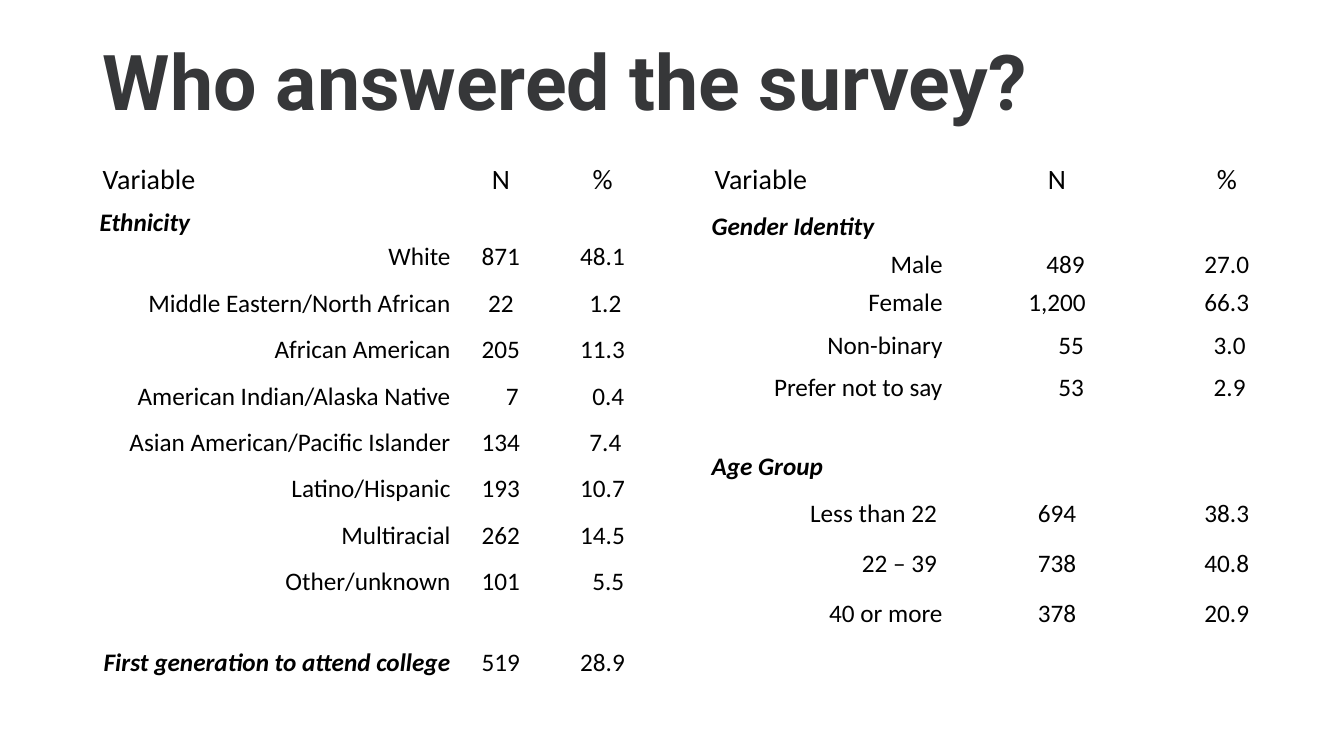
"""Build the slide that breaks down the survey respondents."""
from dataclasses import dataclass

from pptx import Presentation
from pptx.dml.color import RGBColor
from pptx.enum.text import MSO_ANCHOR, MSO_AUTO_SIZE, PP_ALIGN
from pptx.util import Pt

BLACK = "000000"
SPACE = 4.07
LEFT, CENTER, RIGHT = PP_ALIGN.LEFT, PP_ALIGN.CENTER, PP_ALIGN.RIGHT


@dataclass
class Row:
    height: float
    label: str = ""
    n: str = ""
    pct: str = ""
    strong: bool = False
    label_pad: int = 0
    n_pad: int = 0
    pct_pad: int = 0


@dataclass
class Breakdown:
    left: float
    widths: tuple[float, float, float]
    header_height: float
    rows: list[Row]


STEP, TIGHT = 33.15, 24.5
ETHNICITY = Breakdown(66.2, (260.6, 61.9, 83.5), 35.3, [
    Row(TIGHT, "Ethnicity", strong=True),
    Row(STEP, "White", "871", "48.1"),
    Row(STEP, "Middle Eastern/North African", "22", "1.2", pct_pad=1),
    Row(STEP, "African American", "205", "11.3"),
    Row(STEP, "American Indian/Alaska Native", "7", "0.4", n_pad=4, pct_pad=2),
    Row(STEP, "Asian American/Pacific Islander", "134", "7.4", pct_pad=1),
    Row(STEP, "Latino/Hispanic", "193", "10.7"),
    Row(STEP, "Multiracial", "262", "14.5"),
    Row(STEP, "Other/unknown", "101", "5.5", pct_pad=2),
    Row(TIGHT),
    Row(STEP, "First generation to attend college", "519", "28.9", strong=True),
])
GENDER_AND_AGE = Breakdown(503.3, (175, 153.4, 89.3), 38.2, [
    Row(27.2, "Gender Identity", strong=True),
    Row(27.2, "Male", "489", "27.0", n_pad=3),
    Row(30.4, "Female", "1,200", "66.3"),
    Row(30.4, "Non-binary", "55", "3.0", n_pad=5, pct_pad=1),
    Row(33.4, "Prefer not to say", "53", "2.9", n_pad=5, pct_pad=1),
    Row(22.5),
    Row(33.7, "Age Group", strong=True),
    Row(35.8, "Less than 22", "694", "38.3", label_pad=1),
    Row(35.8, "22 – 39", "738", "40.8", label_pad=1),
    Row(35.8, "40 or more", "378", "20.9"),
    Row(35.8),
])


def set_font(font, name: str, size: float, color: str, bold=False, italic=False) -> None:
    font.name, font.size = name, Pt(size)
    font.bold, font.italic = bold, italic
    font.color.rgb = RGBColor.from_string(color)


def fill_cell(cell, text: str, align, size: float, margins, strong=False) -> None:
    cell.fill.background()
    cell.vertical_anchor = MSO_ANCHOR.TOP
    (cell.margin_left, cell.margin_top,
     cell.margin_right, cell.margin_bottom) = (Pt(m) for m in margins)
    p = cell.text_frame.paragraphs[0]
    p.text, p.alignment = text, align
    set_font(p.font, "Calibri", size, BLACK, strong, strong)


def add_breakdown(s, breakdown: Breakdown) -> None:
    heights = [breakdown.header_height] + [row.height for row in breakdown.rows]
    table = s.shapes.add_table(
        len(heights), 3, Pt(breakdown.left), Pt(113),
        Pt(sum(breakdown.widths)), Pt(sum(heights))).table
    table.first_row = table.horz_banding = False
    for column, width in zip(table.columns, breakdown.widths):
        column.width = Pt(width)
    for table_row, height in zip(table.rows, heights):
        table_row.height = Pt(height)
    for c, (text, align) in enumerate(
            [("Variable", LEFT), ("N", CENTER), ("%", CENTER)]):
        fill_cell(table.cell(0, c), text, align, 20, (7.2, 3.6, 7.2, 3.6))
    for r, row in enumerate(breakdown.rows, 1):
        fill_cell(table.cell(r, 0), row.label, RIGHT if row.n else LEFT, 18,
                  (5, 0, 5 + row.label_pad * SPACE, 0), row.strong)
        for c, (text, pad) in enumerate(
                [(row.n, row.n_pad), (row.pct, row.pct_pad)], 1):
            fill_cell(table.cell(r, c), text, CENTER, 18,
                      (5 + pad * SPACE, 0, 5, 0))


def add_title(s, text: str) -> None:
    sp = s.shapes.title
    sp.left, sp.top, sp.width, sp.height = Pt(66.2), Pt(23), Pt(862), Pt(75.6)
    tf = sp.text_frame
    tf.text = text
    tf.word_wrap, tf.auto_size = True, MSO_AUTO_SIZE.NONE
    tf.vertical_anchor = MSO_ANCHOR.MIDDLE
    p = tf.paragraphs[0]
    p.alignment, p.line_spacing = LEFT, 0.9
    set_font(p.font, "Roboto", 55, "363739", bold=True)


def main() -> None:
    prs = Presentation()
    prs.slide_width, prs.slide_height = Pt(960), Pt(540)
    s = prs.slides.add_slide(prs.slide_layouts[5])
    add_title(s, "Who answered the survey?")
    for breakdown in (ETHNICITY, GENDER_AND_AGE):
        add_breakdown(s, breakdown)
    prs.save("out.pptx")


if __name__ == "__main__":
    main()
